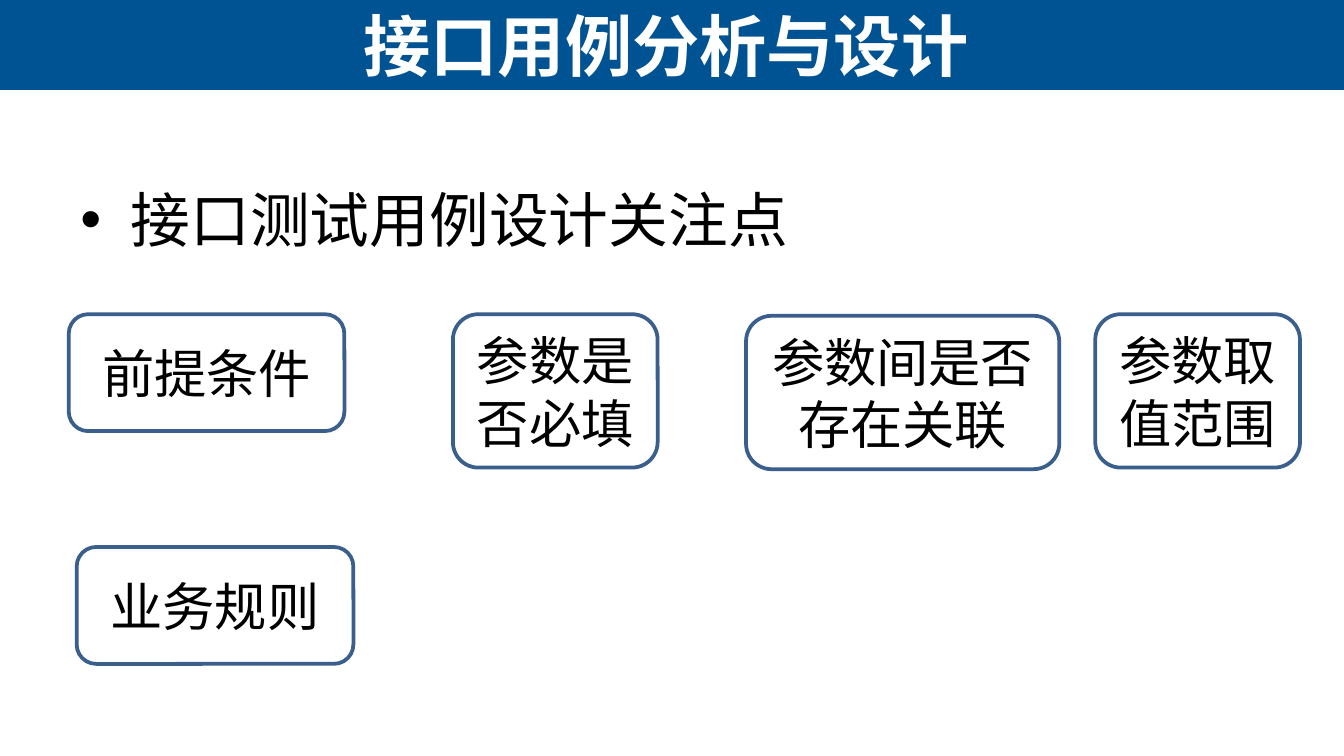
from lxml import etree
from pptx import Presentation
from pptx.dml.color import RGBColor
from pptx.enum import shapes, text
from pptx.oxml import ns
from pptx.util import Cm, Pt

COLORS = {"banner": "005392", "outline": "3A5F8C", "title": "FFFFFF", "body": "000000"}


class SlideBuilder:
    heading_font = "Arial"
    body_font = "Calibri"

    def __init__(self, slide):
        self.slide = slide

    def color(self, name):
        return RGBColor.from_string(COLORS[name])

    def add_run(self, paragraph, wording, size, color, font, bold=False):
        run = paragraph.add_run()
        run.text = wording
        run.font.size = Pt(size)
        run.font.name = font
        run.font.bold = bold
        run.font.color.rgb = self.color(color)

    def shape(self, kind, left, top, width, height):
        shape = self.slide.shapes.add_shape(kind, Cm(left), Cm(top), Cm(width), Cm(height))
        shape.shadow.inherit = False
        return shape

    def text_box(self, left, top, width, height):
        frame = self.slide.shapes.add_textbox(
            Cm(left), Cm(top), Cm(width), Cm(height)
        ).text_frame
        frame.word_wrap = True
        return frame

    def banner(self, width, height):
        shape = self.shape(shapes.MSO_SHAPE.RECTANGLE, 0, 0, width, height)
        shape.fill.solid()
        shape.fill.fore_color.rgb = self.color("banner")
        shape.line.fill.background()

    def title(self, wording, left, top, width, height):
        frame = self.text_box(left, top, width, height)
        frame.vertical_anchor = text.MSO_ANCHOR.MIDDLE
        paragraph = frame.paragraphs[0]
        paragraph.alignment = text.PP_ALIGN.CENTER
        self.add_run(paragraph, wording, 36, "title", self.heading_font, bold=True)

    def bullet(self, wording, left, top, width, height):
        paragraph = self.text_box(left, top, width, height).paragraphs[0]
        properties = paragraph._p.get_or_add_pPr()
        indent = Cm(0.95)
        properties.set("marL", str(indent))
        properties.set("indent", str(-indent))
        etree.SubElement(properties, ns.qn("a:buFont"), typeface="Arial")
        etree.SubElement(properties, ns.qn("a:buChar"), char="•")
        self.add_run(paragraph, wording, 32, "body", self.body_font)

    def card(self, wording, left, top, width, height):
        shape = self.shape(shapes.MSO_SHAPE.ROUNDED_RECTANGLE, left, top, width, height)
        shape.fill.background()
        shape.line.color.rgb = self.color("outline")
        shape.line.width = Pt(2)
        frame = shape.text_frame
        frame.word_wrap = True
        frame.vertical_anchor = text.MSO_ANCHOR.MIDDLE
        paragraph = frame.paragraphs[0]
        paragraph.alignment = text.PP_ALIGN.CENTER
        self.add_run(paragraph, wording, 28, "body", self.body_font)


def main():
    presentation = Presentation()
    presentation.slide_width = Cm(25.4)
    presentation.slide_height = Cm(14.29)
    builder = SlideBuilder(presentation.slides.add_slide(presentation.slide_layouts[6]))

    builder.banner(25.4, 1.7)
    builder.bullet("接口测试用例设计关注点", 1.27, 3.33, 22.86, 9.42)
    builder.title("接口用例分析与设计", 0.05, 0, 25.07, 1.7)

    one_line, two_lines = 2.21, 2.9
    cards = [
        ("前提条件", 1.3, 5.94, 5.21, one_line),
        ("参数是否必填", 8.56, 5.94, 3.87, two_lines),
        ("参数间是否存在关联", 14.1, 5.97, 5.92, two_lines),
        ("参数取值范围", 20.7, 5.94, 3.87, two_lines),
        ("业务规则", 1.45, 10.34, 5.23, one_line),
    ]
    for card in cards:
        builder.card(*card)

    presentation.save("out.pptx")


if __name__ == "__main__":
    main()
